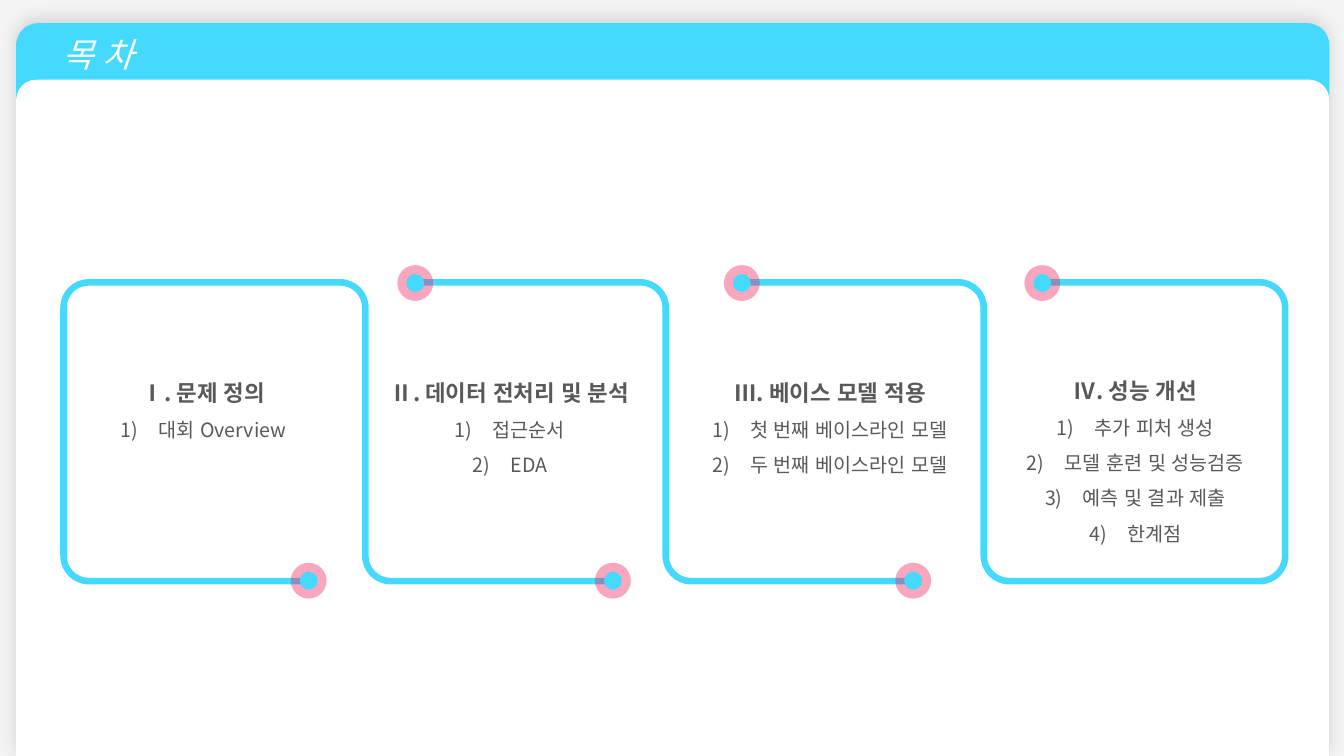
from dataclasses import dataclass
from typing import NamedTuple

from lxml import etree
from pptx import Presentation
from pptx import util as u
from pptx.dml.color import RGBColor
from pptx.enum import lang, shapes, text
from pptx.oxml import ns


@dataclass(frozen=True)
class Theme:
    """Colours, font and type sizes."""
    backdrop: str = "F4F4F4"
    accent: str = "45D9FD"
    paper: str = "FFFFFF"
    ink: str = "595959"
    glow: str = "EE2560"
    shade: str = "000000"
    font: str = "Noto Sans CJK KR"
    title: float = 24
    heading: float = 16
    item: float = 14


class Box(NamedTuple):
    """A rectangle in points."""
    left: float
    top: float
    width: float
    height: float

    def emu(self) -> list:
        """Return the four lengths as Pt values."""
        return [u.Pt(length) for length in self]


class Chapter(NamedTuple):
    """A heading with its numbered topics."""
    box: Box
    heading: str
    topics: tuple


class Shadow(NamedTuple):
    """An outer shadow; lengths in points, the rest in percent and degrees."""
    color: str
    alpha: int
    blur: float = 0
    distance: float = 0
    angle: int = 0
    scale: int = 100


THEME = Theme()
TOP, BOTTOM = 201.7, 415.1
BAND, RADIUS, ARC_HANDLE = 4.7, 18, 0.55
BEAD, BEAD_TOP, BEAD_BOTTOM = 12.8, 202.2, 414.8
PANEL_SHADOW = Shadow(THEME.shade, 12, blur=12, distance=3, angle=270)
BEAD_SHADOW = Shadow(THEME.glow, 40, scale=200)

CHAPTERS = (
    Chapter(Box(62.6, 257.8, 165.6, 59), "Ⅰ. 문제 정의", ("대회 Overview",)),
    Chapter(Box(259.2, 257.8, 210.2, 85), "Ⅱ. 데이터 전처리 및 분석", ("접근순서", "EDA")),
    Chapter(Box(499.7, 257.8, 186.5, 85), "Ⅲ. 베이스 모델 적용",
            ("첫 번째 베이스라인 모델", "두 번째 베이스라인 모델")),
    Chapter(Box(719.3, 256.3, 183.6, 135.4), "Ⅳ. 성능 개선",
            ("추가 피처 생성", "모델 훈련 및 성능검증", "예측 및 결과 제출", "한계점")),
)
TRACKS = (
    ((222.5, BOTTOM), (45.4, BOTTOM), (45.4, TOP), (261, TOP), (261, BOTTOM), (437.8, BOTTOM)),
    ((296.6, TOP), (475.6, TOP), (475.6, BOTTOM), (652.3, BOTTOM)),
    ((526.3, TOP), (702.7, TOP), (702.7, BOTTOM), (918, BOTTOM), (918, TOP), (740.9, TOP)),
)
BEADS = tuple((x, BEAD_BOTTOM) for x in (220.5, 437.8, 652.3)) + tuple(
    (x, BEAD_TOP) for x in (296.6, 529.9, 744.5))


def paint(shape, color: str, shadow: Shadow | None = None) -> None:
    """Fill a shape without outline and give it an optional shadow."""
    shape.fill.solid()
    shape.fill.fore_color.rgb = RGBColor.from_string(color)
    shape.line.fill.background()
    shape.shadow.inherit = False
    if shadow:
        effects = shape.element.spPr.find(ns.qn("a:effectLst"))
        outer = etree.SubElement(
            effects, ns.qn("a:outerShdw"), blurRad=str(u.Pt(shadow.blur)),
            dist=str(u.Pt(shadow.distance)), dir=str(shadow.angle * 60000),
            sx=str(shadow.scale * 1000), sy=str(shadow.scale * 1000),
            algn="ctr", rotWithShape="0")
        tint = etree.SubElement(outer, ns.qn("a:srgbClr"), val=shadow.color)
        etree.SubElement(tint, ns.qn("a:alpha"), val=str(shadow.alpha * 1000))


def write(paragraph, words: str, *, size: float, color: str = THEME.ink, bold: bool = False,
          italic: bool = False, spacing: float | None = None, numbered: bool = False) -> None:
    """Write a centred paragraph in the given format."""
    paragraph.alignment = text.PP_ALIGN.CENTER
    paragraph.line_spacing = spacing
    run = paragraph.add_run()
    run.text = words
    run.font.name, run.font.size = THEME.font, u.Pt(size)
    run.font.bold, run.font.italic = bold, italic
    run.font.language_id = lang.MSO_LANGUAGE_ID.KOREAN
    run.font.color.rgb = RGBColor.from_string(color)
    etree.SubElement(run.font._element, ns.qn("a:ea"), typeface=THEME.font)
    if numbered:
        layout = paragraph._p.get_or_add_pPr()
        layout.set("marL", str(u.Pt(27)))
        layout.set("indent", str(u.Pt(-27)))
        etree.SubElement(layout, ns.qn("a:buFont"), typeface="+mj-lt")
        etree.SubElement(layout, ns.qn("a:buAutoNum"), type="arabicParenR")


def add_frame(parent, box: Box):
    """Add a wrapping text box and return its text frame."""
    frame = parent.add_textbox(*box.emu()).text_frame
    frame.word_wrap = True
    frame.auto_size = text.MSO_AUTO_SIZE.SHAPE_TO_FIT_TEXT
    return frame


def heading_of(start: tuple, end: tuple) -> tuple:
    """Return the unit direction of an axis-parallel step."""
    dx, dy = end[0] - start[0], end[1] - start[1]
    length = abs(dx) + abs(dy)
    return dx / length, dy / length


def edge(track: tuple, offset: float) -> list:
    """Return one side of a band: its two ends and four curve points per corner."""
    dx, dy = heading_of(track[0], track[1])
    points = [(track[0][0] + offset * dy, track[0][1] - offset * dx)]
    for before, (x, y), after in zip(track, track[1:], track[2:]):
        ix, iy = heading_of(before, (x, y))
        ox, oy = heading_of((x, y), after)
        radius = RADIUS + offset * (ix * oy - iy * ox)
        cx, cy = x + RADIUS * (ox - ix), y + RADIUS * (oy - iy)
        for ahead, aside in ((0, 1), (ARC_HANDLE, 1), (1, ARC_HANDLE), (1, 0)):
            points.append((cx + radius * (ix * ahead - ox * aside),
                           cy + radius * (iy * ahead - oy * aside)))
    dx, dy = heading_of(track[-2], track[-1])
    points.append((track[-1][0] + offset * dy, track[-1][1] - offset * dx))
    return points


def add_band(parent, track: tuple) -> None:
    """Draw a track as a filled band with curved corners."""
    sides = edge(track, BAND / 2), edge(track, -BAND / 2)[::-1]
    first, *rest = [(u.Pt(x), u.Pt(y)) for side in sides for x, y in side]
    builder = parent.build_freeform(*first)
    builder.add_line_segments(rest, close=True)
    band = builder.convert_to_shape()
    paint(band, THEME.accent)
    steps = list(band.element.iter(ns.qn("a:moveTo"), ns.qn("a:lnTo")))
    for start in (0, len(sides[0])):
        for index in range(start + 2, start + len(sides[0]), 4):
            curve = etree.Element(ns.qn("a:cubicBezTo"))
            steps[index].addprevious(curve)
            for step in steps[index:index + 3]:
                curve.append(step[0])
                step.getparent().remove(step)


def add_panel(parent, box: Box, corner: float, color: str, shadow: Shadow | None = None) -> None:
    """Add a panel with rounded top corners."""
    panel = parent.add_shape(shapes.MSO_SHAPE.ROUND_2_SAME_RECTANGLE, *box.emu())
    panel.adjustments[0], panel.adjustments[1] = corner, 0
    paint(panel, color, shadow)


def main() -> None:
    """Build the contents slide."""
    deck = Presentation()
    deck.slide_width, deck.slide_height = u.Pt(960), u.Pt(540)
    slide = deck.slides.add_slide(deck.slide_layouts[6])
    slide.background.fill.solid()
    slide.background.fill.fore_color.rgb = RGBColor.from_string(THEME.backdrop)

    window = slide.shapes.add_group_shape().shapes
    add_panel(window, Box(11.5, 16.6, 938, 523.4), 0.03, THEME.accent, PANEL_SHADOW)
    add_panel(window, Box(11.5, 56.9, 938, 483.1), 0.03, THEME.paper)
    write(add_frame(window, Box(11.5, 20.6, 117.4, 36.3)).paragraphs[0], "목 차",
          size=THEME.title, color=THEME.paper, italic=True)

    for chapter in CHAPTERS:
        frame = add_frame(slide.shapes, chapter.box)
        write(frame.paragraphs[0], chapter.heading, size=THEME.heading, bold=True, spacing=1.5)
        for topic in chapter.topics:
            write(frame.add_paragraph(), topic, size=THEME.item, spacing=1.5, numbered=True)
    for track in TRACKS:
        add_band(slide.shapes, track)
    for x, y in BEADS:
        spot = Box(x - BEAD / 2, y - BEAD / 2, BEAD, BEAD)
        paint(slide.shapes.add_shape(shapes.MSO_SHAPE.OVAL, *spot.emu()), THEME.accent, BEAD_SHADOW)
    deck.save("out.pptx")


if __name__ == "__main__":
    main()
